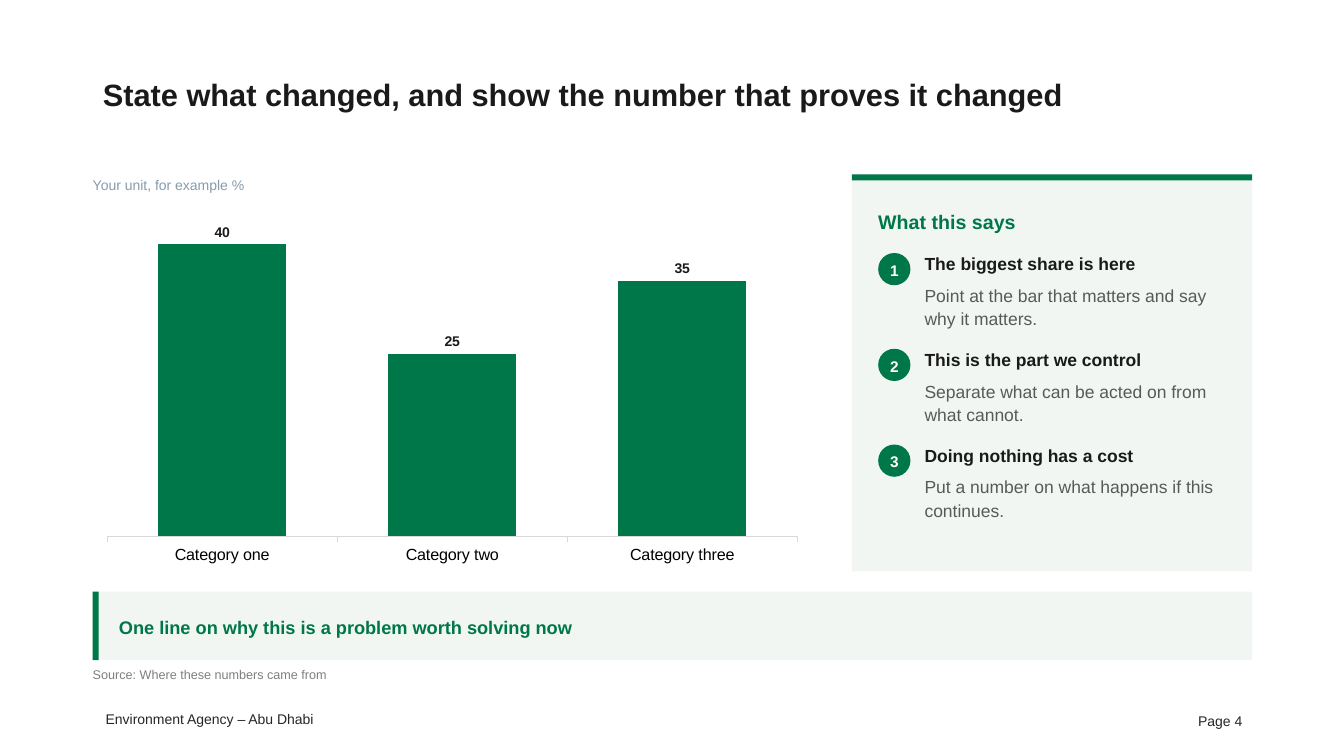
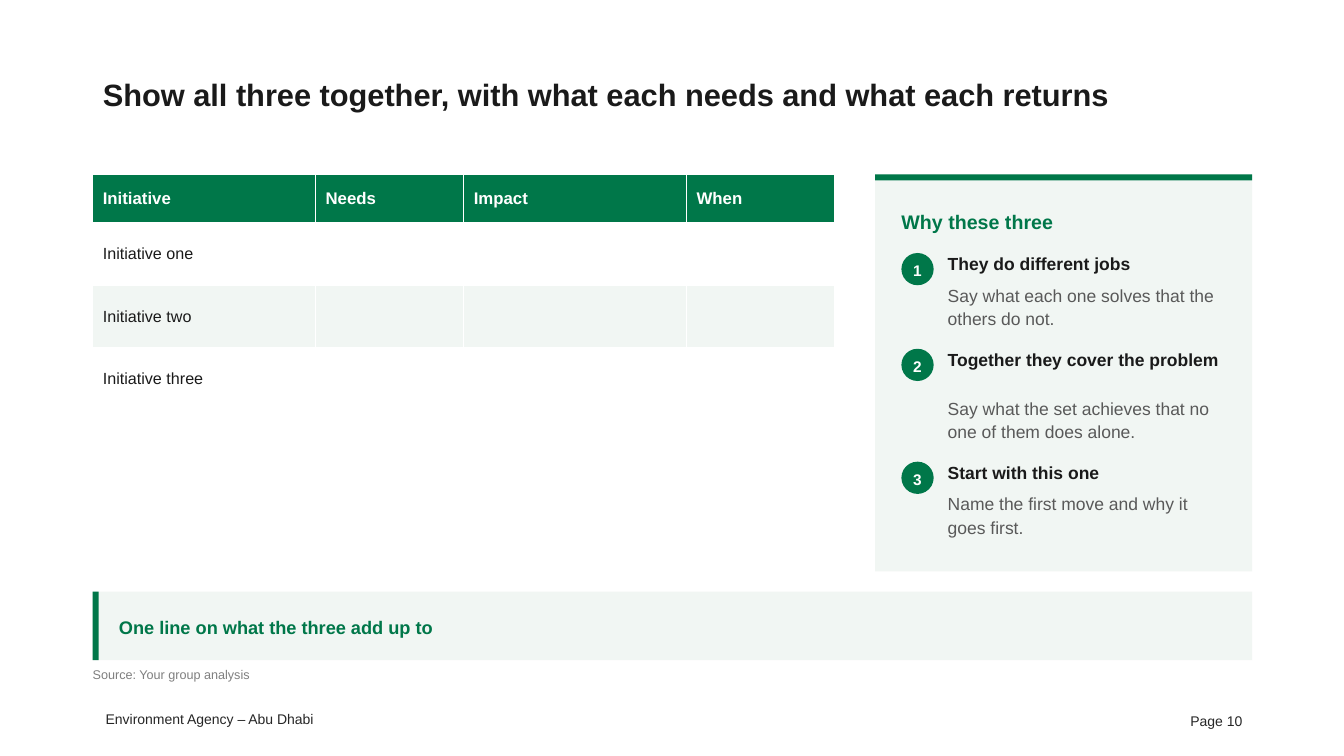
import pptx
import pptx.chart.data
import pptx.dml.color
import pptx.enum.chart
import pptx.enum.shapes
import pptx.enum.text
import pptx.util

Inches = pptx.util.Inches
Pt = pptx.util.Pt
ALIGN = pptx.enum.text.PP_ALIGN
ANCHOR = pptx.enum.text.MSO_ANCHOR
SHAPE = pptx.enum.shapes.MSO_SHAPE

FONT = "Arial"
GREEN = "007749"
PALE = "F1F6F3"
WHITE = "FFFFFF"
INK = "1A1A1A"
GREY = "595959"
FOOTER_INK = "262626"

LEFT = 0.92
WIDTH = 11.5
CONTENT_TOP = 1.73
PANEL_HEIGHT = 3.94
ACCENT = 0.06
PADDING = 0.26
ONE_LINE = 0.26
TWO_LINES = 0.43


def colour(hex_text):
    return pptx.dml.color.RGBColor.from_string(hex_text)


def set_font(font, size, hex_text, bold=False):
    font.name = FONT
    font.size = Pt(size)
    font.bold = bold
    font.color.rgb = colour(hex_text)


def write(frame, text, size, hex_text, bold=False, align=ALIGN.LEFT,
          anchor=ANCHOR.TOP, spacing=1.12, after=3, inset=0):
    frame.word_wrap = True
    frame.auto_size = pptx.enum.text.MSO_AUTO_SIZE.NONE
    frame.vertical_anchor = anchor
    frame.margin_left = frame.margin_right = Inches(inset)
    frame.margin_top = frame.margin_bottom = Inches(inset / 2)
    para = frame.paragraphs[0]
    para.alignment = align
    para.line_spacing = spacing
    para.space_after = Pt(after)
    span = para.add_run()
    span.text = text
    set_font(span.font, size, hex_text, bold)


def add_text(page, bounds, text, size, hex_text, **style):
    box = page.shapes.add_textbox(*map(Inches, bounds))
    write(box.text_frame, text, size, hex_text, **style)


def add_block(page, bounds, fill, kind=SHAPE.RECTANGLE):
    block = page.shapes.add_shape(kind, *map(Inches, bounds))
    block.shadow.inherit = False
    block.fill.solid()
    block.fill.fore_color.rgb = colour(fill)
    block.line.fill.background()
    return block


def add_point(page, left, top, width, number, heading, detail, heading_height):
    badge = add_block(page, (left, top + 0.02, 0.32, 0.32), GREEN, SHAPE.OVAL)
    write(badge.text_frame, str(number), 11, WHITE, bold=True,
          align=ALIGN.CENTER, anchor=ANCHOR.MIDDLE)
    text_left = left + 0.46
    text_width = width - 0.46
    add_text(page, (text_left, top, text_width, heading_height),
             heading, 12.5, INK, bold=True)
    detail_top = top + heading_height + 0.05
    add_text(page, (text_left, detail_top, text_width, 0.42), detail, 12.5, GREY)
    return detail_top + 0.64


def add_panel(page, left, title, points):
    width = LEFT + WIDTH - left
    add_block(page, (left, CONTENT_TOP, width, PANEL_HEIGHT), PALE)
    add_block(page, (left, CONTENT_TOP, width, ACCENT), GREEN)
    inner_left = left + PADDING
    inner_width = width - 2 * PADDING
    add_text(page, (inner_left, 2.05, inner_width, 0.3), title, 14, GREEN, bold=True)
    top = 2.49
    for number, point in enumerate(points, 1):
        top = add_point(page, inner_left, top, inner_width, number, *point)


def add_takeaway(page, text):
    top, height = 5.87, 0.68
    add_block(page, (LEFT, top, WIDTH, height), PALE)
    add_block(page, (LEFT, top, ACCENT, height), GREEN)
    add_text(page, (LEFT + PADDING, top, WIDTH - 2 * PADDING, height), text,
             13, GREEN, bold=True, anchor=ANCHOR.MIDDLE)


def add_page(deck, title, takeaway, source, number):
    page = deck.slides.add_slide(deck.slide_layouts.get_by_name("Title Only"))
    write(page.shapes.title.text_frame, title, 22, INK, bold=True,
          anchor=ANCHOR.MIDDLE, spacing=1.05, after=0, inset=0.1)
    add_takeaway(page, takeaway)
    add_text(page, (LEFT, 6.6, 8.4, 0.22), f"Source: {source}", 9, "7F7F7F")
    footer = {"spacing": 1, "after": 0, "inset": 0.1}
    add_text(page, (0.95, 7, 2.5, 0.27), "Environment Agency – Abu Dhabi",
             10, FOOTER_INK, **footer)
    add_text(page, (9.42, 6.95, 3, 0.4), f"Page {number}", 10, FOOTER_INK,
             align=ALIGN.RIGHT, anchor=ANCHOR.MIDDLE, **footer)
    return page


def add_column_chart(page, bounds, categories, values):
    data = pptx.chart.data.CategoryChartData()
    data.categories = categories
    data.add_series("Series 1", values)
    chart = page.shapes.add_chart(
        pptx.enum.chart.XL_CHART_TYPE.COLUMN_CLUSTERED,
        *map(Inches, bounds), data).chart
    chart.has_legend = False
    chart.has_title = False
    set_font(chart.font, 11.5, "000000")

    axis = chart.category_axis
    axis.major_tick_mark = pptx.enum.chart.XL_TICK_MARK.OUTSIDE
    axis.format.line.color.rgb = colour("D9D9D9")
    axis.format.line.width = Pt(0.75)
    chart.value_axis.visible = False
    chart.value_axis.has_major_gridlines = False
    chart.value_axis.minimum_scale = 0
    chart.value_axis.maximum_scale = 45

    plot = chart.plots[0]
    plot.gap_width = 80
    plot.vary_by_categories = False
    fill = plot.series[0].format.fill
    fill.solid()
    fill.fore_color.rgb = colour(GREEN)
    plot.has_data_labels = True
    labels = plot.data_labels
    labels.show_value = True
    labels.position = pptx.enum.chart.XL_LABEL_POSITION.OUTSIDE_END
    set_font(labels.font, 10, INK, bold=True)


def add_initiative_table(page, headers, initiatives):
    widths = [2.21, 1.47, 2.21, 1.47]
    heights = [0.48] + [0.62] * len(initiatives)
    table = page.shapes.add_table(
        len(heights), len(widths), Inches(LEFT), Inches(CONTENT_TOP),
        Inches(sum(widths)), Inches(sum(heights))).table
    for column, width in zip(table.columns, widths):
        column.width = Inches(width)
    rows = [headers] + [[name, "", "", ""] for name in initiatives]
    for index, texts in enumerate(rows):
        table.rows[index].height = Inches(heights[index])
        header = index == 0
        fill = GREEN if header else (WHITE if index % 2 else PALE)
        for cell, text in zip(table.rows[index].cells, texts):
            cell.fill.solid()
            cell.fill.fore_color.rgb = colour(fill)
            cell.vertical_anchor = ANCHOR.MIDDLE
            if text:
                span = cell.text_frame.paragraphs[0].add_run()
                span.text = text
                set_font(span.font, 12 if header else 11.5,
                         WHITE if header else INK, header)


def prepare_deck():
    deck = pptx.Presentation()
    deck.slide_width = Inches(13.33)
    deck.slide_height = Inches(7.5)
    title = deck.slide_layouts.get_by_name("Title Only").placeholders[0]
    title.left, title.top = Inches(LEFT), Inches(0.4)
    title.width, title.height = Inches(WIDTH), Inches(1.05)
    return deck


def build_change_page(deck):
    page = add_page(
        deck, "State what changed, and show the number that proves it changed",
        "One line on why this is a problem worth solving now",
        "Where these numbers came from", 4)
    add_column_chart(page, (LEFT, 1.99, 7.13, 3.68),
                     ["Category one", "Category two", "Category three"], [40, 25, 35])
    add_text(page, (LEFT, CONTENT_TOP, 7.13, 0.24), "Your unit, for example %",
             10, "869CAE")
    add_panel(page, 8.45, "What this says", [
        ("The biggest share is here",
         "Point at the bar that matters and say why it matters.", ONE_LINE),
        ("This is the part we control",
         "Separate what can be acted on from what cannot.", ONE_LINE),
        ("Doing nothing has a cost",
         "Put a number on what happens if this continues.", ONE_LINE),
    ])


def build_initiatives_page(deck):
    page = add_page(
        deck, "Show all three together, with what each needs and what each returns",
        "One line on what the three add up to", "Your group analysis", 10)
    add_initiative_table(page, ["Initiative", "Needs", "Impact", "When"],
                         ["Initiative one", "Initiative two", "Initiative three"])
    add_panel(page, 8.68, "Why these three", [
        ("They do different jobs",
         "Say what each one solves that the others do not.", ONE_LINE),
        ("Together they cover the problem",
         "Say what the set achieves that no one of them does alone.", TWO_LINES),
        ("Start with this one",
         "Name the first move and why it goes first.", ONE_LINE),
    ])


def main():
    deck = prepare_deck()
    build_change_page(deck)
    build_initiatives_page(deck)
    deck.save("out.pptx")


if __name__ == "__main__":
    main()
